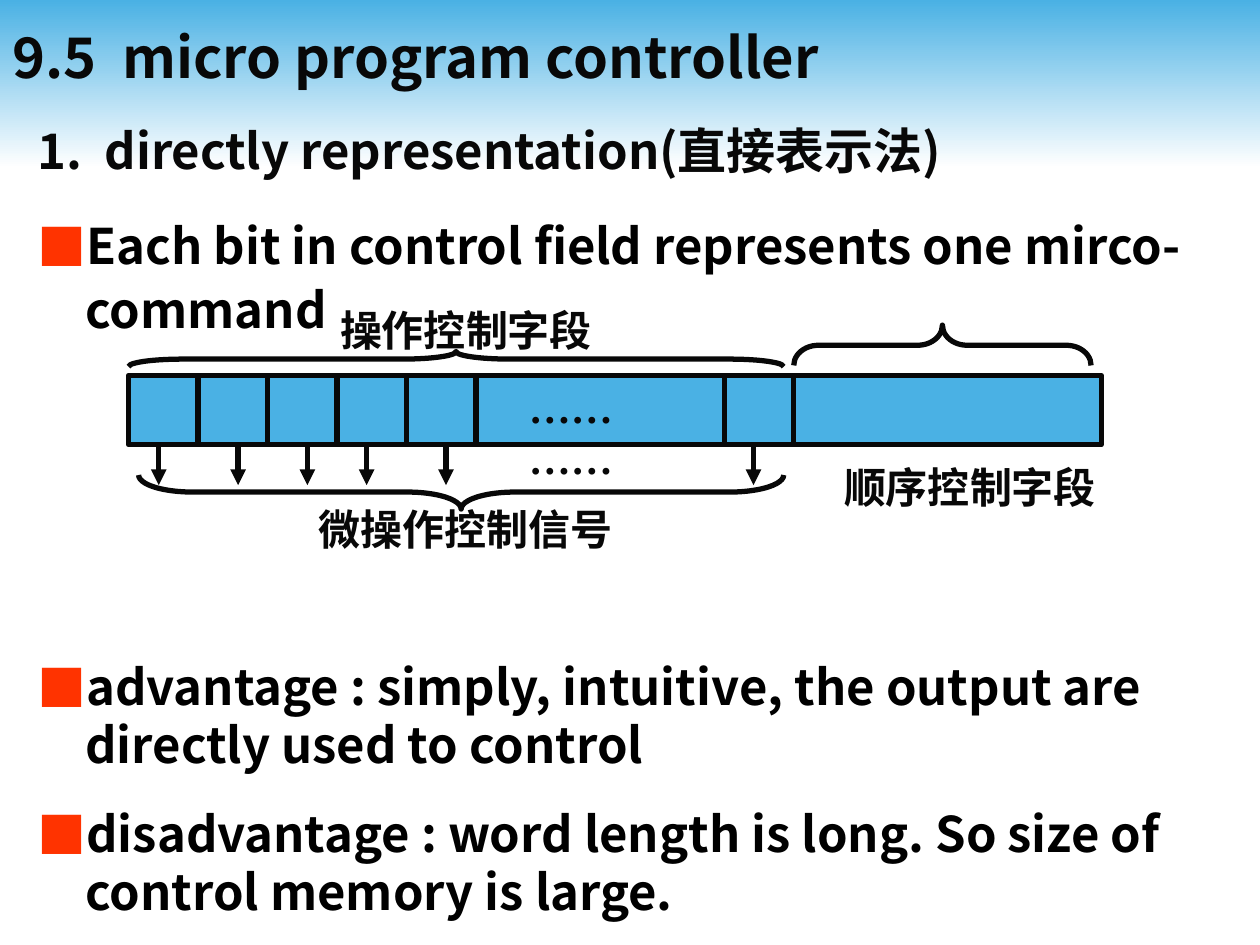
from lxml.etree import SubElement
from pptx import Presentation
from pptx.dml.color import RGBColor
from pptx.enum.shapes import MSO_CONNECTOR, MSO_SHAPE
from pptx.enum.text import MSO_ANCHOR, PP_ALIGN
from pptx.oxml.ns import qn
from pptx.util import Inches, Pt

INK = RGBColor(0x08, 0x08, 0x08)
BLACK = RGBColor(0, 0, 0)
BLUE = RGBColor(0x4A, 0xB1, 0xE4)
WHITE = RGBColor(0xFF, 0xFF, 0xFF)
BULLET_RED = "FF3300"
SANS, SERIF = "Noto Sans CJK JP", "Times New Roman"
LINE_HEIGHT = 1.19  # line pitch as a multiple of the text size

# Content
TITLE = "9.5  micro program controller"
BODY = [  # text, colour, bullet, space before, line factor
    ("1.  directly representation(直接表示法)", INK, False, 0, 1),
    ("Each bit in control field represents one mirco-command", BLACK, True, 17.5, 1.1),
    ("advantage : simply, intuitive, the output are directly used to control",
     BLACK, True, 182, 1),
    ("disadvantage : word length is long. So size of control memory is large.",
     BLACK, True, 17.5, 1),
]
LABELS = [  # text, font, left, top, width
    ("顺序控制字段", SANS, 6.6, 3.62, 2.42),
    ("操作控制字段", SANS, 2.6, 2.37, 2.68),
    ("……", SERIF, 4.1, 2.98, 1.26),
    ("……", SERIF, 4.1, 3.38, 1.57),
    ("微操作控制信号", SANS, 2.43, 3.95, 3.15),
]
BRACES = [  # shape, left, top, length, depth as seen on the slide
    (MSO_SHAPE.RIGHT_BRACE, 6.3, 2.58, 2.36, 0.32),
    (MSO_SHAPE.RIGHT_BRACE, 1.02, 2.79, 5.2, 0.12),
    (MSO_SHAPE.LEFT_BRACE, 1.1, 3.77, 5.12, 0.27),
]
BAR_LEFT, BAR_TOP, BAR_WIDTH, BAR_HEIGHT = 1.02, 2.98, 7.72, 0.55
BIT_WIDTH = BAR_WIDTH / 14
DIVIDERS = [BAR_LEFT + BIT_WIDTH * n for n in range(1, 6)] + [5.75, 6.3]
ARROWS = [1.26, 1.89, 2.44, 2.91, 3.54, 5.98]
ARROW_LENGTH = 0.32


def write(para, text, size=24, font=SANS, color=INK, before=0, factor=1,
          hanging=0, bullet=False):
    props = para._p.get_or_add_pPr()
    if hanging:
        props.set("marL", str(Inches(hanging)))
        props.set("indent", str(-Inches(hanging)))
    para.alignment = PP_ALIGN.LEFT
    para.space_before = Pt(before)
    if font == SANS:
        para.line_spacing = Pt(round(size * LINE_HEIGHT * factor, 1))
    if bullet:
        bullet_color = SubElement(props, qn("a:buClr"))
        SubElement(bullet_color, qn("a:srgbClr"), val=BULLET_RED)
        SubElement(props, qn("a:buFont"), typeface=SANS)
        SubElement(props, qn("a:buChar"), char="■")
    span = para.add_run()
    span.text = text
    span.font.size = Pt(size)
    span.font.bold = True
    span.font.color.rgb = color
    span.font.name = font
    SubElement(span._r.get_or_add_rPr(), qn("a:ea"), typeface=font)


def add_box(left, top, width, height):
    box = page.shapes.add_textbox(*map(Inches, (left, top, width, height)))
    box.text_frame.word_wrap = True
    return box.text_frame


def add_shape(kind, left, top, width, height):
    shape = page.shapes.add_shape(kind, *map(Inches, (left, top, width, height)))
    shape.shadow.inherit = False
    shape.line.color.rgb = INK
    shape.line.width = Pt(3)
    return shape


def add_vertical(x, top, length, arrow=False):
    line = page.shapes.add_connector(
        MSO_CONNECTOR.STRAIGHT, *map(Inches, (x, top, x, top + length)))
    line.line.color.rgb = INK
    line.line.width = Pt(3)
    if arrow:
        SubElement(line.line._get_or_add_ln(), qn("a:tailEnd"), type="triangle")
    SubElement(line._element.spPr, qn("a:effectLst"))


deck = Presentation()
deck.slide_width, deck.slide_height = Inches(10), Inches(7.5)
page = deck.slides.add_slide(deck.slide_layouts[5])
page.background.fill.solid()
page.background.fill.fore_color.rgb = WHITE

# Header band, kept behind the title
band = add_shape(MSO_SHAPE.RECTANGLE, 0, 0, 10, 1.33)
band.line.fill.background()
band.fill.gradient()
band.fill.gradient_angle = 270
for stop, color, position in zip(band.fill.gradient_stops, (BLUE, WHITE), (0, 1)):
    stop.color.rgb = color
    stop.position = position
page.shapes._spTree.insert(2, band._element)

# Title
title = page.shapes.title
title.left, title.top, title.width, title.height = map(Inches, (0, 0.05, 10, 0.79))
title.text_frame.vertical_anchor = MSO_ANCHOR.MIDDLE
write(title.text_frame.paragraphs[0], TITLE, size=32)

# Body text, with room for the diagram above the third paragraph
body = add_box(0.2, 0.91, 10.12, 6.59)
for index, (text, color, bullet, before, factor) in enumerate(BODY):
    para = body.add_paragraph() if index else body.paragraphs[0]
    write(para, text, size=28, color=color, before=before, factor=factor,
          hanging=0.38, bullet=bullet)

# Instruction word with its fields
bar = add_shape(MSO_SHAPE.RECTANGLE, BAR_LEFT, BAR_TOP, BAR_WIDTH, BAR_HEIGHT)
bar.fill.solid()
bar.fill.fore_color.rgb = BLUE
for x in DIVIDERS:
    add_vertical(x, BAR_TOP, BAR_HEIGHT)
for x in ARROWS:
    add_vertical(x, BAR_TOP + BAR_HEIGHT, ARROW_LENGTH, arrow=True)

# Braces are upright shapes turned about their centre
for kind, left, top, length, depth in BRACES:
    brace = add_shape(kind, left + (length - depth) / 2, top + (depth - length) / 2,
                      depth, length)
    brace.rotation = 270
    brace.fill.background()
    brace.adjustments[0] = length / 12 / depth

# Labels
for text, font, left, top, width in LABELS:
    write(add_box(left, top, width, 0.5).paragraphs[0], text, font=font)

deck.save("out.pptx")
